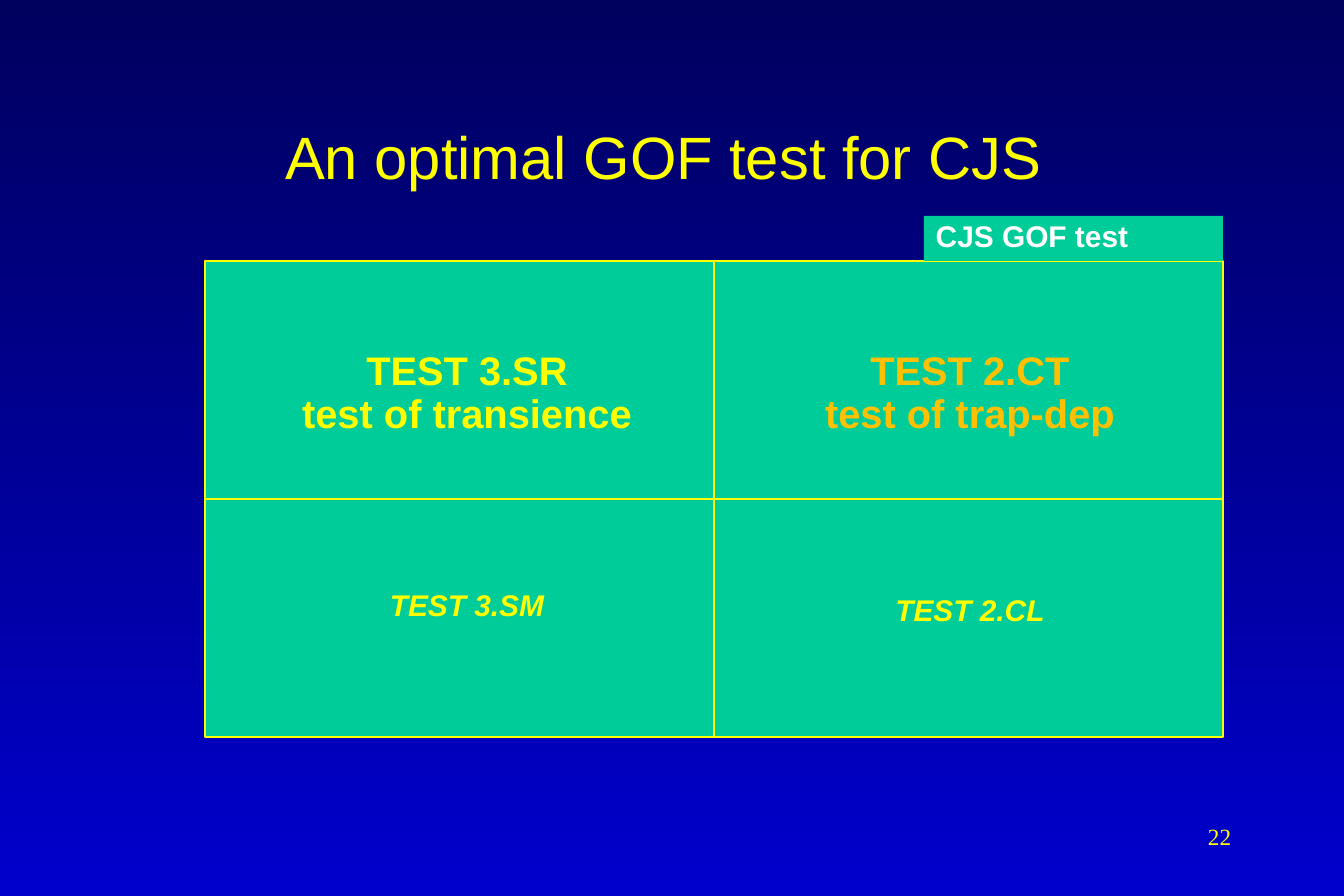
"""Build the slide on an optimal GOF test for CJS."""
from dataclasses import dataclass

from lxml.etree import SubElement
from pptx import Presentation
from pptx.dml.color import RGBColor
from pptx.enum.shapes import MSO_CONNECTOR, MSO_SHAPE
from pptx.enum.text import MSO_ANCHOR, MSO_AUTO_SIZE, PP_ALIGN
from pptx.oxml.ns import qn
from pptx.util import Pt

TITLE = "An optimal GOF test for CJS"
TAB = "CJS GOF test"
PAGE_NUMBER = "22"
MAIN_TESTS = [
    (["TEST 3.SR", "test of transience"], "yellow"),
    (["TEST 2.CT", "test of trap-dep"], "orange"),
]
MINOR_TESTS = [("TEST 3.SM", 585), ("TEST 2.CL", 590)]


@dataclass(frozen=True)
class Theme:
    """Colours, fonts and type sizes."""
    top: RGBColor = RGBColor(0x00, 0x00, 0x5E)
    bottom: RGBColor = RGBColor(0x00, 0x00, 0xCC)
    green: RGBColor = RGBColor(0x00, 0xCC, 0x99)
    yellow: RGBColor = RGBColor(0xFF, 0xFF, 0x00)
    orange: RGBColor = RGBColor(0xFF, 0xC0, 0x00)
    white: RGBColor = RGBColor(0xFF, 0xFF, 0xFF)
    sans: str = "Arial"
    serif: str = "Times New Roman"
    title: int = 36
    main: int = 24
    minor: int = 18
    number: int = 14


THEME = Theme()
EMU_PER_PX = 7654
SLIDE_SIZE = (1344, 896)
BOARD = (205, 261, 1018, 476)
TAB_SIZE = (299, 45)
COLUMN_CENTRES = (467, 970)
MAIN_TOP, MAIN_SIZE = 345, (392, 98)
MINOR_SIZE = (280, 44)
LABEL = {"name": THEME.sans, "bold": True}


def px(*lengths):
    """Turn px lengths into EMU."""
    return [length * EMU_PER_PX for length in lengths]


def write(shape, lines, font, alignment=PP_ALIGN.CENTER, spacing=None):
    """Put formatted lines of text into a shape."""
    frame = shape.text_frame
    frame.word_wrap = True
    frame.auto_size = MSO_AUTO_SIZE.NONE
    frame.text = "\n".join(lines)
    for paragraph in frame.paragraphs:
        paragraph.alignment = alignment
        paragraph.line_spacing = spacing
        for run in paragraph.runs:
            for name, value in font.items():
                if name == "color":
                    run.font.color.rgb = value
                else:
                    setattr(run.font, name, value)


def add_panel(slide, box):
    """Add a green rectangle without an outline."""
    panel = slide.shapes.add_shape(MSO_SHAPE.RECTANGLE, *px(*box))
    panel.shadow.inherit = False
    panel.fill.solid()
    panel.fill.fore_color.rgb = THEME.green
    panel.line.fill.background()
    return panel


def outline(shape):
    """Give a shape or connector the thin yellow line."""
    shape.line.color.rgb = THEME.yellow
    shape.line.width = Pt(1)


def add_label(slide, centre, top, size, lines, font):
    """Add a text box centred on a column."""
    box = (centre - size[0] // 2, top, *size)
    write(slide.shapes.add_textbox(*px(*box)), lines, font, spacing=0.9)


def paint_background(slide):
    """Fill the background with a downward gradient."""
    fill = slide.background.fill
    fill.gradient()
    fill.gradient_angle = 270
    for position, (stop, colour) in enumerate(
            zip(fill.gradient_stops, (THEME.top, THEME.bottom))):
        stop.color.rgb = colour
        stop.position = position


def add_board(slide):
    """Add the four-part board and its tab."""
    left, top, width, height = BOARD
    board = add_panel(slide, BOARD)
    outline(board)
    tab_width, tab_height = TAB_SIZE
    tab = add_panel(slide, (left + width - tab_width, top - tab_height, *TAB_SIZE))
    tab.text_frame.vertical_anchor = MSO_ANCHOR.TOP
    write(tab, [TAB], {**LABEL, "size": Pt(THEME.minor), "color": THEME.white},
          PP_ALIGN.LEFT, 0.9)
    for begin, end in ((0, 2), (1, 3)):
        divider = slide.shapes.add_connector(MSO_CONNECTOR.STRAIGHT, 0, 0, 0, 0)
        divider.begin_connect(board, begin)
        divider.end_connect(board, end)
        outline(divider)
        SubElement(divider.element.spPr, qn("a:effectLst"))


def main():
    """Build and save the slide."""
    presentation = Presentation()
    presentation.slide_width, presentation.slide_height = px(*SLIDE_SIZE)
    slide = presentation.slides.add_slide(presentation.slide_layouts[5])
    paint_background(slide)

    title = slide.shapes.title
    title.left, title.top, title.width, title.height = px(39, 66, 1249, 179)
    title.text_frame.vertical_anchor = MSO_ANCHOR.MIDDLE
    write(title, [TITLE], {"name": THEME.sans, "size": Pt(THEME.title),
                           "color": THEME.yellow})

    add_board(slide)
    for centre, (lines, colour) in zip(COLUMN_CENTRES, MAIN_TESTS):
        font = {**LABEL, "size": Pt(THEME.main), "color": getattr(THEME, colour)}
        add_label(slide, centre, MAIN_TOP, MAIN_SIZE, lines, font)
    minor_font = {**LABEL, "italic": True, "size": Pt(THEME.minor),
                  "color": THEME.yellow}
    for centre, (text, top) in zip(COLUMN_CENTRES, MINOR_TESTS):
        add_label(slide, centre, top, MINOR_SIZE, [text], minor_font)

    number = slide.shapes.add_textbox(*px(963, 816, 280, 60))
    write(number, [PAGE_NUMBER], {"name": THEME.serif, "size": Pt(THEME.number),
                                  "color": THEME.yellow}, PP_ALIGN.RIGHT)
    presentation.save("out.pptx")


if __name__ == "__main__":
    main()
